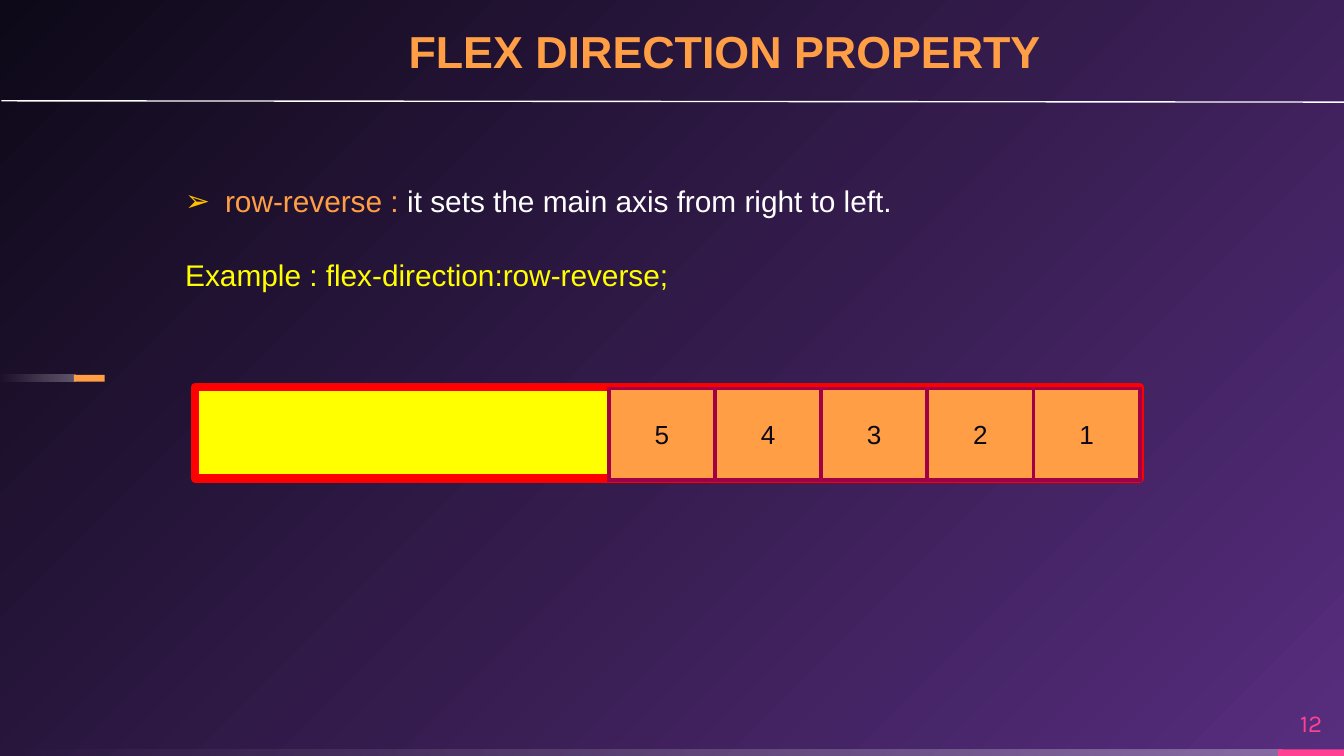
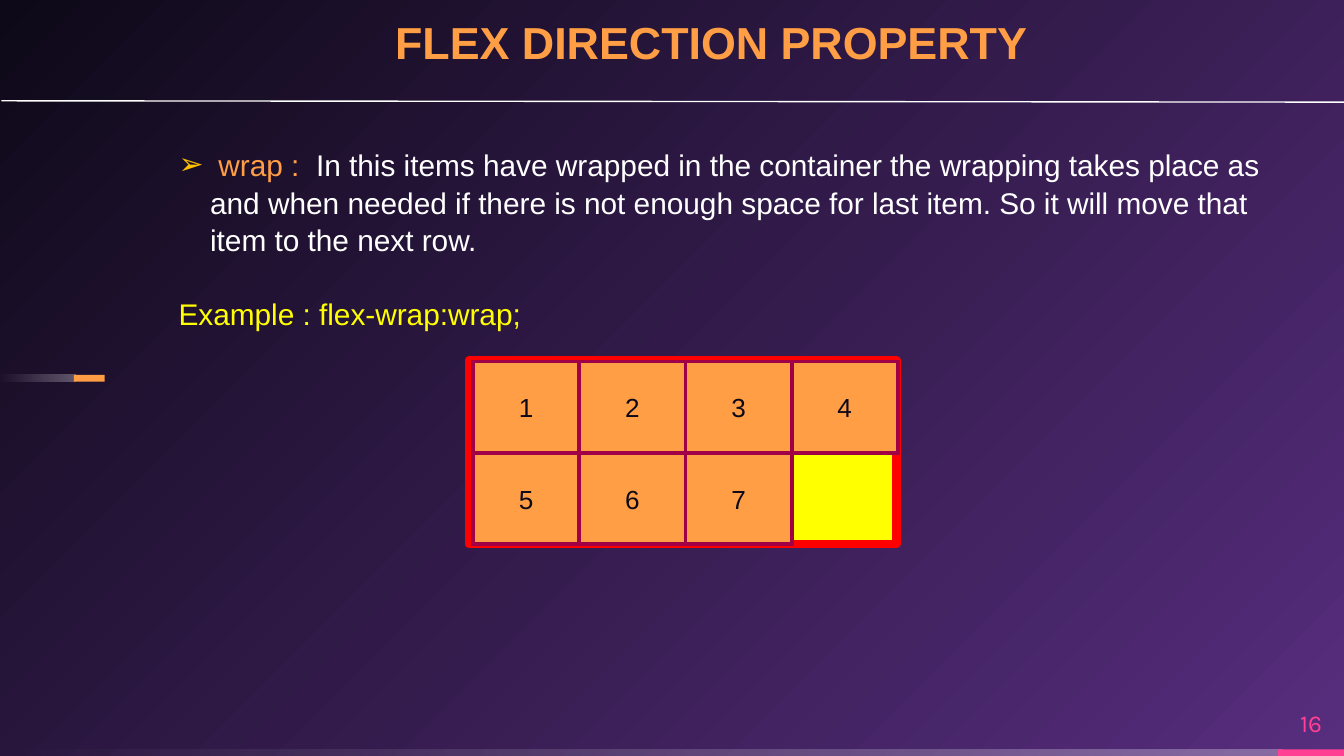
from lxml.etree import SubElement
from pptx import Presentation
from pptx.dml.color import RGBColor
from pptx.enum.shapes import MSO_CONNECTOR, MSO_SHAPE
from pptx.enum.text import MSO_ANCHOR, PP_ALIGN
from pptx.oxml.ns import qn
from pptx.util import Inches, Pt

WIDTH, HEIGHT = 10, 5.625
WHITE = RGBColor(0xFF, 0xFF, 0xFF)
PURPLE = RGBColor(0x57, 0x2D, 0x7E)
NIGHT = RGBColor(0x0E, 0x09, 0x18)
PINK = RGBColor(0xFF, 0x40, 0x93)
ORANGE = RGBColor(0xFF, 0x9E, 0x44)
GOLD = RGBColor(0xFF, 0xC0, 0x00)
YELLOW = RGBColor(0xFF, 0xFF, 0x00)
RED = RGBColor(0xFF, 0x00, 0x00)
WINE = RGBColor(0xA0, 0x00, 0x45)

FONT, NUMBER_FONT = "Arial", "Karla"
TITLE = "FLEX DIRECTION PROPERTY"
STRIPE = 0.05
ITEM_W, ITEM_H = 0.79, 0.68
HANG = 0.235

# Boxes are (left, top, width, height) in inches; items are rows of labels.
SLIDES = [
    dict(
        number="12",
        title_box=(3.04, 0.15, 5.47, 0.43),
        rule_end=10.14,
        text_box=(1.28, 1.3, 7.75, 0.91),
        keyword=" row-reverse : ",
        meaning="it sets the main axis from right to left.",
        example="Example : flex-direction:row-reverse;",
        container=(1.45, 2.88, 7.03, 0.68),
        items_at=(4.53, 2.89),
        items=["54321"],
    ),
    dict(
        number="16",
        title_box=(2.94, 0.08, 5.06, 0.43),
        rule_end=10,
        text_box=(1.23, 1.03, 8.28, 1.45),
        keyword=" wrap :  ",
        meaning="In this items have wrapped in the container the wrapping "
                "takes place as and when needed if there is not enough space "
                "for last item. So it will move that item to the next row.",
        example="Example : flex-wrap:wrap;",
        container=(3.49, 2.68, 3.18, 1.37),
        items_at=(3.52, 2.69),
        items=["1234", "567"],
    ),
]


def style(run, size, color, name=FONT, bold=False):
    run.font.size = Pt(size)
    run.font.name = name
    run.font.bold = bold
    run.font.color.rgb = color


def add_block(slide, box, color=None, kind=MSO_SHAPE.RECTANGLE):
    block = slide.shapes.add_shape(kind, *map(Inches, box))
    block.shadow.inherit = False
    block.line.fill.background()
    if color is not None:
        block.fill.solid()
        block.fill.fore_color.rgb = color
    return block


def add_process(slide, box, color, border, border_width):
    process = add_block(slide, box, color, MSO_SHAPE.FLOWCHART_PROCESS)
    process.line.color.rgb = border
    process.line.width = Pt(border_width)
    return process


def add_fading_stripe(slide, box):
    """White stripe, 30% opaque at its right end and clear at its left."""
    stripe = add_block(slide, box)
    stripe.fill.gradient()
    stripe.fill.gradient_angle = 180
    for stop in stripe.fill.gradient_stops:
        stop.color.rgb = WHITE
    for color, alpha in zip(stripe._element.spPr.iter(qn("a:srgbClr")), (30, 0)):
        SubElement(color, qn("a:alpha"), val=str(alpha * 1000))


def add_text(slide, box, anchor=MSO_ANCHOR.TOP, inset=True):
    frame = slide.shapes.add_textbox(*map(Inches, box)).text_frame
    frame.word_wrap = True
    frame.vertical_anchor = anchor
    if not inset:
        frame.margin_left = frame.margin_right = 0
        frame.margin_top = frame.margin_bottom = 0
    return frame


def paint_background(slide):
    """Radial gradient that spreads from the bottom right corner."""
    fill = slide.background.fill
    fill.gradient()
    for stop, color, position in zip(fill.gradient_stops, (PURPLE, NIGHT), (0, 1)):
        stop.color.rgb = color
        stop.position = position
    gradient = next(slide._element.iter(qn("a:gradFill")))
    gradient.remove(gradient.find(qn("a:lin")))
    spread = SubElement(gradient, qn("a:path"), path="circle")
    SubElement(spread, qn("a:fillToRect"), l="100000", t="100000")


def add_frame(slide, number):
    """Background, bottom band, left marker and page number."""
    paint_background(slide)
    band_top, tab = HEIGHT - STRIPE, 0.49
    add_fading_stripe(slide, (0, band_top, 9.54, STRIPE))
    add_block(slide, (WIDTH - tab, band_top, tab, STRIPE), PINK)
    add_fading_stripe(slide, (0, 2.79, 0.56, STRIPE))
    add_block(slide, (0.55, 2.79, 0.23, STRIPE), ORANGE)

    page = add_text(slide, (WIDTH - tab, 5.19, tab, 0.38), MSO_ANCHOR.MIDDLE, inset=False)
    page.text = number
    page.paragraphs[0].alignment = PP_ALIGN.CENTER
    style(page.paragraphs[0].runs[0], 13, PINK, NUMBER_FONT)


def add_title(slide, box, rule_end):
    title = add_text(slide, box, MSO_ANCHOR.BOTTOM, inset=False)
    title.text = TITLE
    style(title.paragraphs[0].runs[0], 24, ORANGE, bold=True)

    rule = slide.shapes.add_connector(
        MSO_CONNECTOR.STRAIGHT, *map(Inches, (0.01, 0.75, rule_end, 0.76)))
    rule.line.color.rgb = WHITE
    rule.line.width = Pt(0.75)
    SubElement(rule._element.spPr, qn("a:effectLst"))


def add_arrow_bullet(paragraph):
    props = paragraph._p.get_or_add_pPr()
    props.set("marL", str(Inches(HANG)))
    props.set("indent", str(-Inches(HANG)))
    color = SubElement(props, qn("a:buClr"))
    SubElement(color, qn("a:srgbClr"), val=str(GOLD))
    SubElement(props, qn("a:buFont"), typeface=FONT)
    SubElement(props, qn("a:buChar"), char="➢")


def add_explanation(slide, box, keyword, meaning, example):
    frame = add_text(slide, box)
    definition, sample = frame.paragraphs[0], frame.add_paragraph()
    add_arrow_bullet(definition)
    sample.space_before = Pt(19.3)
    for paragraph, words, color in ((definition, keyword, ORANGE),
                                    (definition, meaning, WHITE),
                                    (sample, example, YELLOW)):
        paragraph.line_spacing = 1.05
        run = paragraph.add_run()
        run.text = words
        style(run, 16, color)


def add_flexbox(slide, container, items_at, items):
    add_process(slide, container, YELLOW, RED, 4.5)
    left, top = items_at
    for row, labels in enumerate(items):
        for column, label in enumerate(labels):
            box = (left + column * ITEM_W, top + row * ITEM_H, ITEM_W, ITEM_H)
            item = add_process(slide, box, ORANGE, WINE, 2)
            SubElement(item._element.spPr.find(qn("a:ln")), qn("a:miter"), lim="800000")
            item.text_frame.text = label
            item.text_frame.vertical_anchor = MSO_ANCHOR.MIDDLE
            item.text_frame.paragraphs[0].alignment = PP_ALIGN.CENTER
            style(item.text_frame.paragraphs[0].runs[0], 14, NIGHT)


def main():
    deck = Presentation()
    deck.slide_width, deck.slide_height = Inches(WIDTH), Inches(HEIGHT)
    for content in SLIDES:
        slide = deck.slides.add_slide(deck.slide_layouts[6])
        add_frame(slide, content["number"])
        add_title(slide, content["title_box"], content["rule_end"])
        add_explanation(slide, content["text_box"], content["keyword"],
                        content["meaning"], content["example"])
        add_flexbox(slide, content["container"], content["items_at"], content["items"])
    deck.save("out.pptx")


if __name__ == "__main__":
    main()
